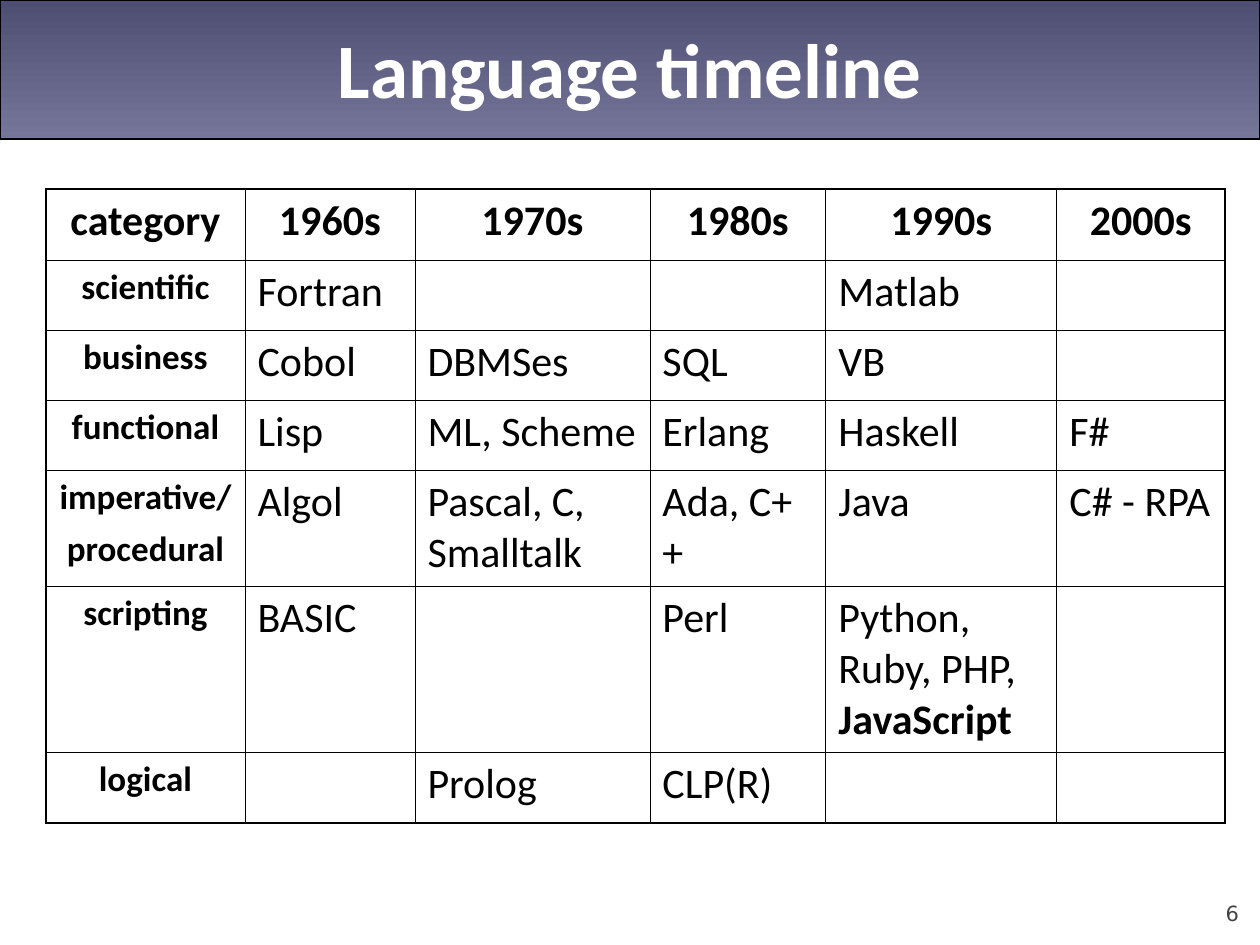
import lxml.etree
import pptx
import pptx.dml.color
import pptx.enum.shapes
import pptx.enum.text
import pptx.oxml.ns
import pptx.util

PX = 914400 // 126
BLACK = pptx.dml.color.RGBColor(0x00, 0x00, 0x00)
WHITE = pptx.dml.color.RGBColor(0xFF, 0xFF, 0xFF)
GREY = pptx.dml.color.RGBColor(0x42, 0x42, 0x42)
BAND_TOP = pptx.dml.color.RGBColor(0x4E, 0x4E, 0x72)
BAND_BOTTOM = pptx.dml.color.RGBColor(0x76, 0x76, 0x9A)
ALIGN = pptx.enum.text.PP_ALIGN
ANCHOR = pptx.enum.text.MSO_ANCHOR

COLS = [199, 170, 235, 176, 231, 168]
ROWS = [71, 70, 70, 70, 116, 166, 71]
JAVASCRIPT = "JavaScript"
TIMELINE = [
    ["category", "1960s", "1970s", "1980s", "1990s", "2000s"],
    ["scientific", "Fortran", "", "", "Matlab", ""],
    ["business", "Cobol", "DBMSes", "SQL", "VB", ""],
    ["functional", "Lisp", "ML, Scheme", "Erlang", "Haskell", "F#"],
    ["imperative/\nprocedural", "Algol", "Pascal, C,\vSmalltalk", "Ada, C++", "Java", "C# - RPA"],
    ["scripting", "BASIC", "", "Perl", "Python, Ruby, PHP, " + JAVASCRIPT, ""],
    ["logical", "", "Prolog", "CLP(R)", "", ""],
]


def px(*lengths):
    return [pptx.util.Emu(n * PX) for n in lengths]


def add_run(p, text, size, color, bold=False, font="Calibri"):
    r = p.add_run()
    r.text = text
    r.font.name, r.font.size, r.font.bold = font, pptx.util.Pt(size), bold
    r.font.color.rgb = color


def add_text(s, box, text, size, color, align, anchor, inset, **style):
    tf = s.shapes.add_textbox(*px(*box)).text_frame
    tf.word_wrap = True
    tf.vertical_anchor = anchor
    tf.margin_left, tf.margin_top, tf.margin_right, tf.margin_bottom = px(*inset)
    p = tf.paragraphs[0]
    p.alignment = align
    add_run(p, text, size, color, **style)


def add_title_band(s, x, y, w, h):
    sp = s.shapes.add_shape(pptx.enum.shapes.MSO_SHAPE.ROUNDED_RECTANGLE, *px(x, y, w, h))
    sp.adjustments[0] = 0
    sp.shadow.inherit = False
    sp.fill.gradient()
    sp.fill.gradient_angle = 270
    for stop, color in zip(sp.fill.gradient_stops, (BAND_TOP, BAND_BOTTOM)):
        stop.color.rgb = color
    sp.line.color.rgb = BLACK
    sp.line.width = pptx.util.Pt(0.75)
    add_text(s, (x + 21, y, w - 42, h - 3), "Language timeline", 44, WHITE,
             ALIGN.CENTER, ANCHOR.MIDDLE, (13, 6, 13, 6), bold=True)


def set_borders(cell, outer):
    """Draw all four sides, heavier on the sides named in outer."""
    tc_pr = cell._tc.get_or_add_tcPr()
    qn = pptx.oxml.ns.qn
    for side in "LRTB":
        width = pptx.util.Pt(1.08 if side in outer else 0.45)
        ln = lxml.etree.SubElement(tc_pr, qn("a:ln" + side), w=str(width))
        fill = lxml.etree.SubElement(ln, qn("a:solidFill"))
        lxml.etree.SubElement(fill, qn("a:srgbClr"), val=str(BLACK))


def fill_cell(cell, text, header, category):
    """Write one paragraph per line; a vertical tab is a line break."""
    tf = cell.text_frame
    size = 20 if category else 24
    for i, line in enumerate(text.split("\n")):
        p = tf.add_paragraph() if i else tf.paragraphs[0]
        p.alignment = ALIGN.CENTER if header or category else ALIGN.LEFT
        p.space_before = pptx.util.Pt(5 if category else 6)
        for j, part in enumerate(line.split("\v")):
            if j:
                p.add_line_break()
            plain, strong, _ = part.partition(JAVASCRIPT)
            if plain:
                add_run(p, plain, size, BLACK, bold=header or category)
            if strong:
                add_run(p, strong, size, BLACK, bold=True)


def add_timeline(s, x, y):
    table = s.shapes.add_table(len(ROWS), len(COLS), *px(x, y, sum(COLS), sum(ROWS))).table
    table.first_row = table.horz_banding = False
    for column, width in zip(table.columns, px(*COLS)):
        column.width = width
    for row, height in zip(table.rows, px(*ROWS)):
        row.height = height
    last_row, last_col = len(ROWS) - 1, len(COLS) - 1
    for r, texts in enumerate(TIMELINE):
        for c, text in enumerate(texts):
            cell = table.cell(r, c)
            edges = {"L": c == 0, "R": c == last_col, "T": r == 0, "B": r == last_row}
            set_borders(cell, [side for side, on in edges.items() if on])
            cell.fill.background()
            fill_cell(cell, text, header=r == 0, category=c == 0 and r > 0)


def add_page_number(s, x, y, w, h):
    add_text(s, (x, y, w, h), "6", 12, GREY, ALIGN.RIGHT, ANCHOR.BOTTOM,
             (0, 0, 0, 0), font="DejaVu Sans")


def main():
    prs = pptx.Presentation()
    prs.slide_width, prs.slide_height = pptx.util.Inches(10), pptx.util.Inches(7.5)
    s = prs.slides.add_slide(prs.slide_layouts[6])
    # Title
    add_title_band(s, 0, 0, 1260, 139)
    # Languages by category and decade
    add_timeline(s, 46, 189)
    # Footer
    add_page_number(s, 1134, 876, 105, 50)
    prs.save("out.pptx")


if __name__ == "__main__":
    main()
